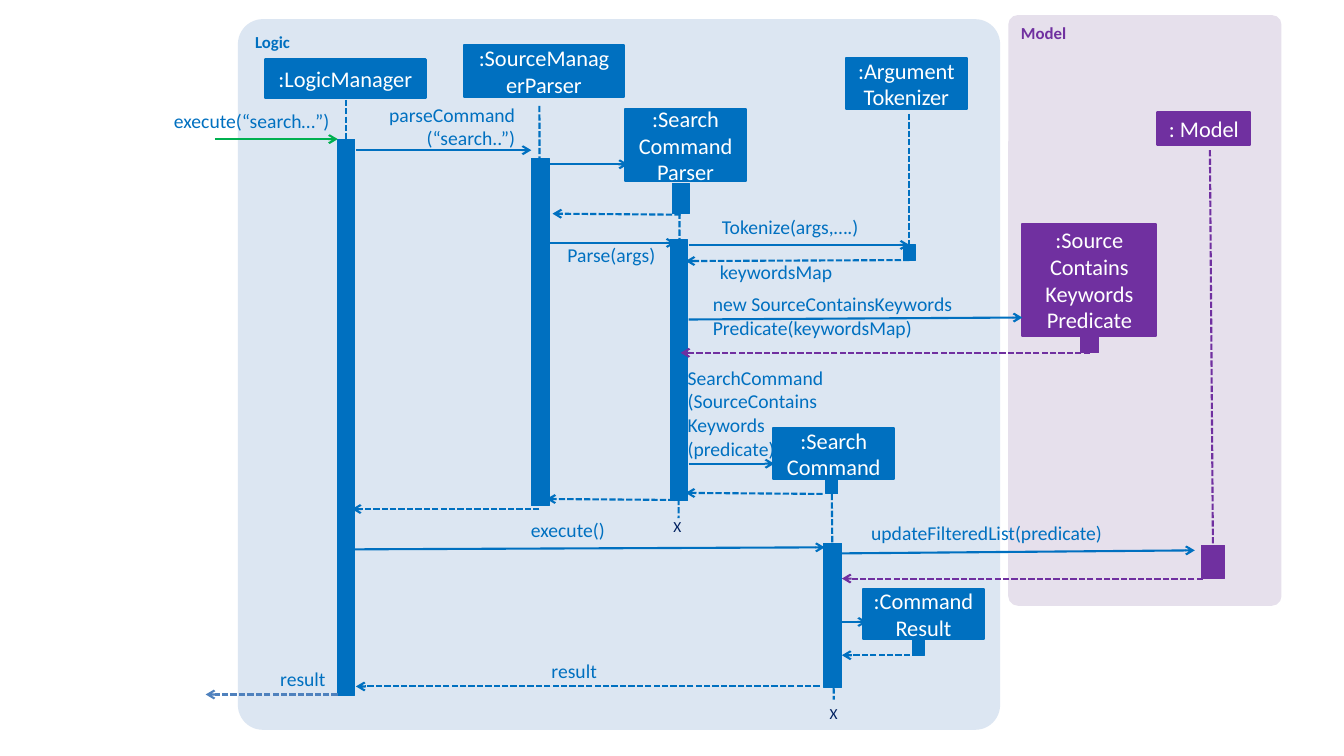
from pptx import Presentation
from pptx.dml.color import RGBColor
from pptx.enum.dml import MSO_LINE
from pptx.enum.shapes import MSO_CONNECTOR, MSO_SHAPE
from pptx.enum.text import MSO_ANCHOR, PP_ALIGN
from pptx.oxml.ns import qn
from pptx.util import Inches, Pt
from lxml.etree import SubElement

BLUE, PURPLE, GREEN, STEEL = "0070C0", "7030A0", "00B050", "4F81BD"
NAVY, WHITE = "002060", "FFFFFF"
LEFT, CENTER, RIGHT = PP_ALIGN.LEFT, PP_ALIGN.CENTER, PP_ALIGN.RIGHT


def color(hex_code):
    """Turn a hex string into a colour."""
    return RGBColor.from_string(hex_code)


def place(box, left, top, width, height):
    """Return slide lengths for a rectangle measured from the box corner."""
    return [Inches(v) for v in (box[0] + left, box[1] + top, width, height)]


def write(part, words, size, hex_code, align=LEFT, bold=False):
    """Set the words of a part and format every run."""
    part.text_frame.text = words
    for paragraph in part.text_frame.paragraphs:
        paragraph.alignment = align
        for run in paragraph.runs:
            font = run.font
            font.name, font.size, font.bold = "Calibri", Pt(size), bold
            font.color.rgb = color(hex_code)


def block(slide, area, fill, border=None, kind=MSO_SHAPE.RECTANGLE):
    """Add a flat filled shape, with a border in its own colour if a width is given."""
    part = slide.shapes.add_shape(kind, *area)
    part.shadow.inherit = False
    part.fill.solid()
    part.fill.fore_color.rgb = color(fill)
    if border:
        part.line.color.rgb = color(fill)
        part.line.width = Pt(border)
    else:
        part.line.fill.background()
    return part


def link(slide, box, ends, hex_code, dashed=False, arrow=False):
    """Draw a line between two points of the box, optionally dashed or pointed."""
    x1, y1, x2, y2 = ends
    start, end = place(box, x1, y1, 0, 0)[:2], place(box, x2, y2, 0, 0)[:2]
    line = slide.shapes.add_connector(MSO_CONNECTOR.STRAIGHT, *start, *end)
    line.line.color.rgb = color(hex_code)
    line.line.width = Pt(1.5)
    if dashed:
        line.line.dash_style = MSO_LINE.SQUARE_DOT
    if arrow:
        SubElement(line.line._get_or_add_ln(), qn("a:tailEnd"), type="arrow")
    SubElement(line._element.spPr, qn("a:effectLst"))


def caption(slide, box, area, words, align):
    """Add the wording of a message."""
    label = slide.shapes.add_textbox(*place(box, *area))
    frame = label.text_frame
    frame.word_wrap = True
    frame.margin_left = frame.margin_right = frame.margin_top = frame.margin_bottom = 0
    write(label, words, 14, BLUE, align)


def end_mark(slide, box, left, top):
    """Add the X that ends a lifeline."""
    mark = slide.shapes.add_textbox(*place(box, left, top, 0.28, 0.29))
    mark.text_frame.word_wrap = False
    write(mark, "X", 11, NAVY)


def panel(slide, box, title, fill, title_color):
    """Draw a component's rounded background and its title."""
    back = block(slide, place(box, 0, 0, *box[2:]), fill, kind=MSO_SHAPE.ROUNDED_RECTANGLE)
    back.adjustments[0] = 0.035
    back.text_frame.vertical_anchor = MSO_ANCHOR.TOP
    write(back, title, 12, title_color, bold=True)


def participant(slide, box, name, head, lifeline, activations, hex_code):
    """Draw a participant: lifeline, activation bars and named head."""
    if lifeline:
        link(slide, box, lifeline, hex_code, dashed=True)
    for bar in activations:
        block(slide, place(box, *bar), hex_code, 0.75)
    title = block(slide, place(box, *head), hex_code, 1.5)
    title.text_frame.word_wrap = True
    title.text_frame.vertical_anchor = MSO_ANCHOR.MIDDLE
    write(title, name, 16, WHITE, CENTER)


def draw_logic(slide, box):
    """Draw the Logic component and its participants."""
    panel(slide, box, "Logic", "DCE6F2", BLUE)
    participants = [
        (":LogicManager", (0.27, 0.4, 1.59, 0.38), (1.07, 0.8, 1.07, 4.61),
         [(0.99, 1.19, 0.17, 5.52)]),
        (":SourceManagerParser", (2.24, 0.26, 1.59, 0.51), (2.99, 0.86, 3, 4.83),
         [(2.91, 1.38, 0.18, 3.45)]),
        (":Search\vCommandParser", (3.84, 0.89, 1.2, 0.72), (4.38, 1.92, 4.37, 4.95),
         [(4.31, 1.63, 0.17, 0.3), (4.29, 2.19, 0.17, 2.59)]),
        (":Search\vCommand", (5.31, 4.06, 1.2, 0.5), (5.89, 4.71, 5.91, 6.75),
         [(5.83, 4.56, 0.12, 0.15), (5.81, 5.2, 0.18, 1.43)]),
        (":Argument\nTokenizer", (6.03, 0.39, 1.2, 0.5), (6.66, 0.94, 6.66, 2.39),
         [(6.6, 2.24, 0.12, 0.15)]),
        (":Command\nResult", (6.2, 5.65, 1.2, 0.5), None, [(6.69, 6.16, 0.12, 0.15)]),
    ]
    for details in participants:
        participant(slide, box, *details, BLUE)
    end_mark(slide, box, 4.22, 4.89)
    end_mark(slide, box, 5.77, 6.75)


def draw_model(slide, box):
    """Draw the Model component and its participants."""
    panel(slide, box, "Model", "E6E0EC", PURPLE)
    participant(slide, box, ": Model", (1.48, 0.96, 0.92, 0.33), (2, 1.34, 2.03, 5.26),
                [(1.92, 5.26, 0.23, 0.33)], PURPLE)
    participant(slide, box, ":Source\nContains\nKeywords\nPredicate",
                (0.14, 2.07, 1.33, 1.11), None, [(0.72, 3.11, 0.18, 0.24)], PURPLE)


def draw_messages(slide, box):
    """Draw calls, returns and their wording, each line from sender to receiver."""
    calls = [
        ((2.13, 1.38, 3.35, 1.38), GREEN), ((3.53, 1.49, 5.27, 1.49), BLUE),
        ((5.43, 1.63, 6.23, 1.63), BLUE), ((5.37, 2.41, 6.7, 2.41), BLUE),
        ((6.83, 2.43, 9.02, 2.43), BLUE), ((6.83, 3.17, 10.14, 3.15), BLUE),
        ((6.83, 4.6, 7.68, 4.6), BLUE), ((3.48, 5.45, 8.18, 5.43), BLUE),
        ((8.35, 5.49, 11.85, 5.46), BLUE), ((8.35, 6.17, 8.6, 6.17), BLUE),
    ]
    returns = [
        ((6.75, 2.13, 5.48, 2.12), BLUE), ((9.02, 2.58, 6.8, 2.59), BLUE),
        ((10.81, 3.5, 6.75, 3.5), PURPLE), ((8.16, 4.9, 6.8, 4.89), BLUE),
        ((6.69, 4.96, 5.42, 4.95), BLUE), ((5.35, 5.05, 3.49, 5.05), BLUE),
        ((11.93, 5.74, 8.35, 5.74), PURPLE), ((9.11, 6.5, 8.35, 6.5), BLUE),
        ((8.13, 6.81, 3.53, 6.81), BLUE), ((3.35, 6.89, 2.04, 6.89), STEEL),
    ]
    for lines, dashed in ((calls, False), (returns, True)):
        for ends, hex_code in lines:
            link(slide, box, ends, hex_code, dashed, arrow=True)

    captions = [
        ((1.71, 1.08, 1.56, 0.24), "execute(“search…”)", RIGHT),
        ((3.83, 1.02, 1.28, 0.47), "parseCommand\n(“search..”)", RIGHT),
        ((5.18, 2.41, 1.32, 0.24), "Parse(args)", RIGHT),
        ((7.16, 2.13, 1.48, 0.24), "Tokenize(args,….)", LEFT),
        ((7.14, 2.58, 1.28, 0.24), "keywordsMap", LEFT),
        ((7.07, 2.9, 2.94, 0.47), "new SourceContainsKeywords\nPredicate(keywordsMap)", LEFT),
        ((6.82, 3.63, 1.36, 0.94),
         "SearchCommand\n(SourceContainsKeywords\n(predicate)", LEFT),
        ((5.06, 5.14, 0.94, 0.24), "execute()", RIGHT),
        ((8.64, 5.17, 3.11, 0.24), "updateFilteredList(predicate)", LEFT),
        ((5.24, 6.54, 0.68, 0.24), "result", RIGHT),
        ((2.4, 6.62, 0.83, 0.24), "result", RIGHT),
    ]
    for area, words, align in captions:
        caption(slide, box, area, words, align)


def main():
    """Build the search sequence diagram."""
    deck = Presentation()
    deck.slide_width, deck.slide_height = Inches(13.33), Inches(7.5)
    slide = deck.slides.add_slide(deck.slide_layouts[6])
    draw_model(slide, (10, 0.15, 2.71, 5.86))
    draw_logic(slide, (2.36, 0.19, 7.56, 7.05))
    draw_messages(slide, (0, 0, 13.33, 7.5))
    deck.save("out.pptx")


main()
